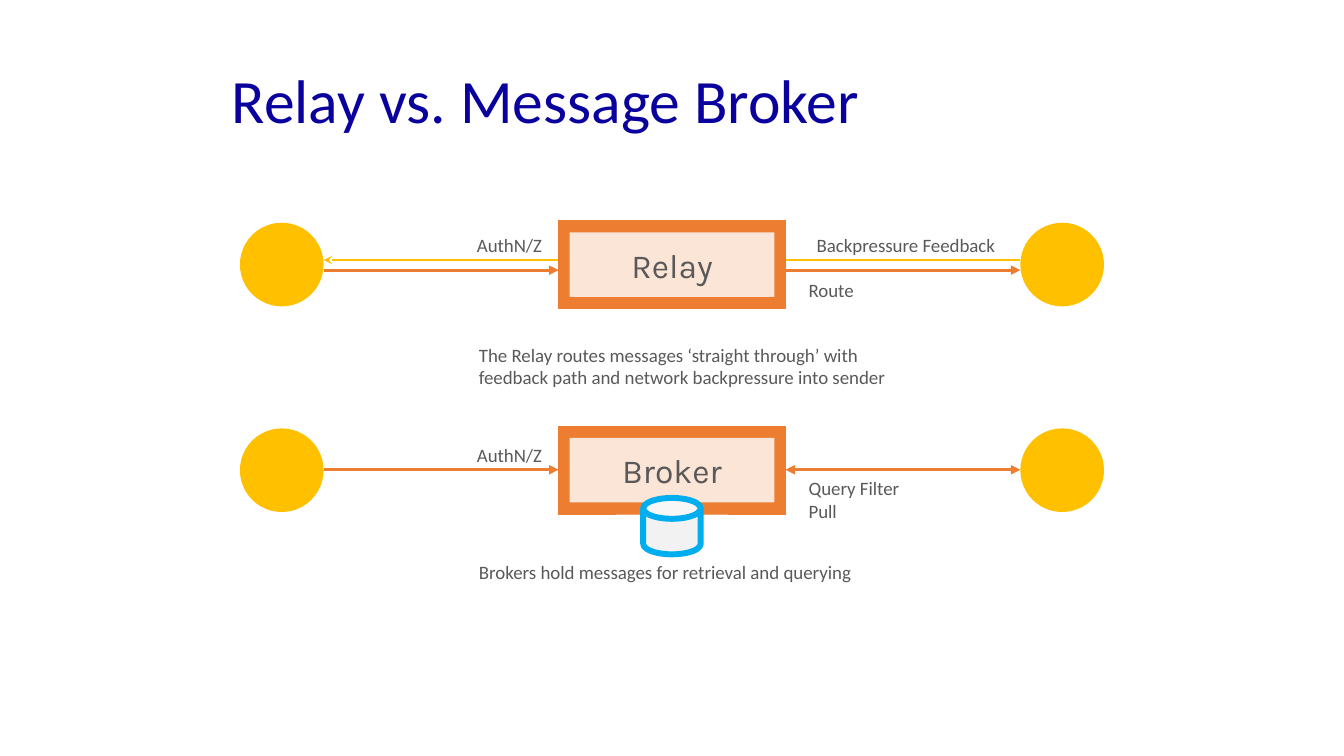
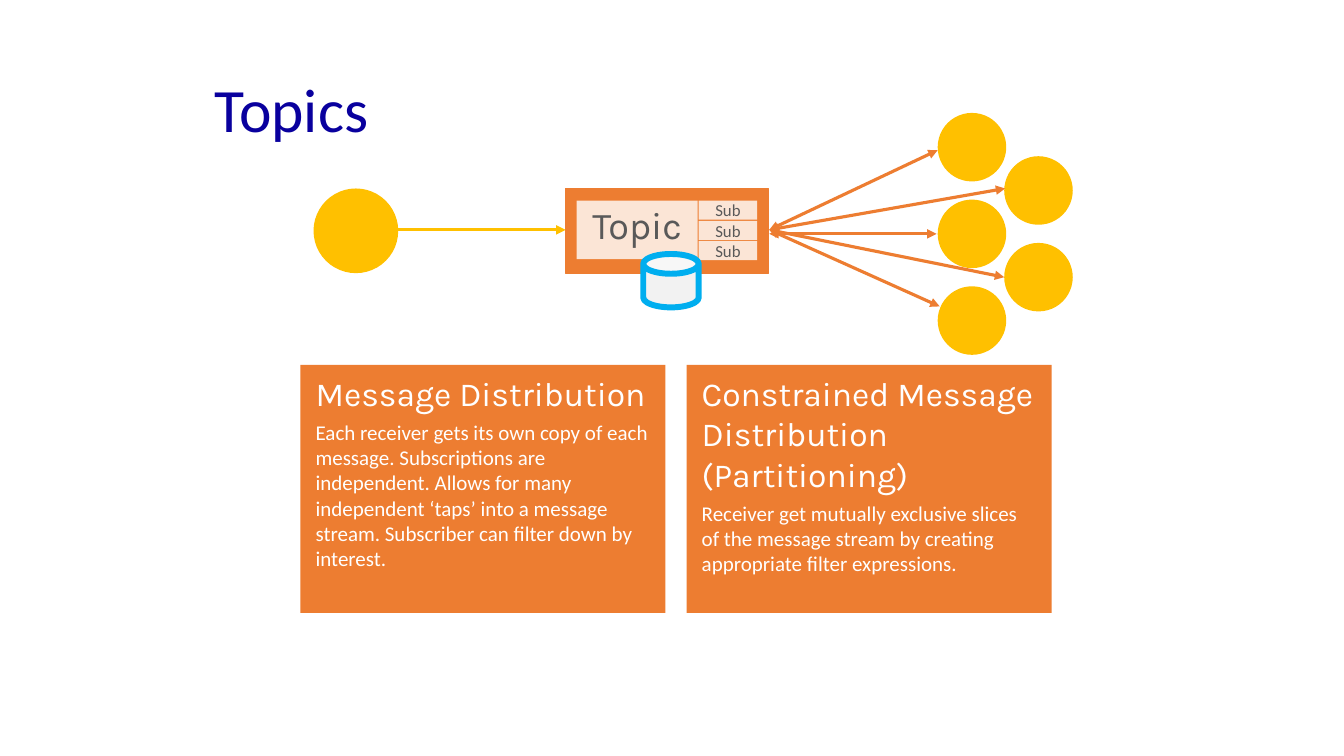
"""Builds two slides on relays, brokers and topics."""
from lxml import etree
from pptx import Presentation
from pptx import util as u
from pptx.dml.color import RGBColor
from pptx.enum import shapes, text
from pptx.oxml.ns import qn

NAVY, GREY, WHITE = "09009E", "595959", "FFFFFF"
ORANGE, PEACH, GOLD = "ED7D31", "FBE5D6", "FFC000"
BLUE, PALE = "00AEEF", "F2F2F2"
BODY, DISPLAY = "Calibri", "Karla"
SHAPE, ANCHOR, ALIGN = shapes.MSO_SHAPE, text.MSO_ANCHOR, text.PP_ALIGN


def color(hex_code):
    """Return the colour for a hex string."""
    return RGBColor.from_string(hex_code)


def write(sp, paras, align=ALIGN.LEFT, anchor=ANCHOR.TOP, ins=(0, 0, 0, 0), after=0, spacing=1):
    """Fill a shape with paragraphs given as (text, size, font, colour)."""
    tf = sp.text_frame
    tf.word_wrap = True
    tf.vertical_anchor = anchor
    tf.margin_left, tf.margin_top, tf.margin_right, tf.margin_bottom = map(u.Inches, ins)
    for i, (words, size, font, hex_code) in enumerate(paras):
        p = tf.add_paragraph() if i else tf.paragraphs[0]
        p.alignment = align
        p.line_spacing = spacing
        p.space_after = u.Pt(after if i < len(paras) - 1 else 0)
        for j, line in enumerate(words.split("\n")):
            if j:
                p.add_line_break()
            r = p.add_run()
            r.text = line
            r.font.size = u.Pt(size)
            r.font.name = font
            r.font.color.rgb = color(hex_code)


def label(s, x, y, w, h, *lines, **style):
    """Add a small grey text box, one paragraph for each line."""
    sp = s.shapes.add_textbox(*map(u.Inches, (x, y, w, h)))
    write(sp, [(line, 13.5, BODY, GREY) for line in lines], **style)


def caption(s, x, y, w, h, words):
    """Add a sentence centred vertically in its box."""
    label(s, x, y, w, h, words, anchor=ANCHOR.MIDDLE, ins=(0.07, 0.04, 0.07, 0.04))


def title(s, x, y, words):
    """Add the slide title."""
    sp = s.shapes.add_textbox(*map(u.Inches, (x, y, 9.15, 0.82)))
    write(sp, [(words, 44, BODY, NAVY)], anchor=ANCHOR.MIDDLE,
          ins=(0.1, 0.05, 0.1, 0.05), spacing=0.9)


def block(s, kind, x, y, w, h, fill, line=None, width=0.5):
    """Add a flat preset shape."""
    sp = s.shapes.add_shape(kind, *map(u.Inches, (x, y, w, h)))
    sp.shadow.inherit = False
    sp.fill.solid()
    sp.fill.fore_color.rgb = color(fill)
    if line:
        sp.line.color.rgb = color(line)
        sp.line.width = u.Pt(width)
    else:
        sp.line.fill.background()
    return sp


def node(s, x, y, d):
    """Add a sender or receiver circle."""
    block(s, SHAPE.OVAL, x, y, d, d, GOLD)


def panel(s, x, y, w, h, words, size, font=DISPLAY, ins=(0, 0, 0, 0)):
    """Add a pale panel with a centred name."""
    sp = block(s, SHAPE.RECTANGLE, x, y, w, h, PEACH)
    write(sp, [(words, size, font, GREY)], ALIGN.CENTER, ANCHOR.MIDDLE, ins)


def arrow(s, start, end, hex_code=ORANGE, width=2.25, head=None, tail="triangle"):
    """Draw a straight line with arrowheads at its start and end."""
    c = s.shapes.add_connector(shapes.MSO_CONNECTOR.STRAIGHT, *map(u.Inches, start + end))
    c.line.color.rgb = color(hex_code)
    c.line.width = u.Pt(width)
    ln = c.line._get_or_add_ln()
    for tag, kind in (("a:headEnd", head), ("a:tailEnd", tail)):
        if kind:
            etree.SubElement(ln, qn(tag), type=kind)
    etree.SubElement(c._element.spPr, qn("a:effectLst"))


def store(s, x, y, w, h):
    """Add a storage cylinder."""
    sp = block(s, SHAPE.CAN, x, y, w, h, PALE, BLUE, 4.25)
    sp.adjustments[0] = 0.37


def route(s, x, y, name, line_dy, auth_dy, head=None):
    """Draw sender, named hub and receiver in a row."""
    hub, hub_end, receiver, d = x + 3.16, x + 5.41, x + 7.74, 0.83
    node(s, x, y + 0.02, d)
    node(s, receiver, y + 0.02, d)
    arrow(s, (x + d, y + line_dy), (hub, y + line_dy))
    arrow(s, (hub_end, y + line_dy), (receiver, y + line_dy), head=head)
    label(s, x + 2.35, y + auth_dy, 0.75, 0.23, "AuthN/Z")
    block(s, SHAPE.RECTANGLE, hub, y, hub_end - hub, 0.87, ORANGE, ORANGE)
    panel(s, hub + 0.11, y + 0.115, 2.03, 0.64, name, 24, ins=(0, 0.04, 0, 0.04))


def topic(s, x, y):
    """Draw the topic hub with its subscriptions and store."""
    block(s, SHAPE.RECTANGLE, x, y, 2.01, 0.84, ORANGE, ORANGE)
    panel(s, x + 0.11, y + 0.12, 1.2, 0.58, "Topic", 27, ins=(0.08, 0.04, 0.08, 0.15))
    for i in range(3):
        panel(s, x + 1.32, y + 0.12 + 0.2 * i, 0.58, 0.19, "Sub", 12, BODY)
    store(s, x + 0.77, y + 0.65, 0.55, 0.53)


def receivers(s, x, y, hub_x, hub_y):
    """Draw five staggered receivers and the arrows from the hub."""
    for i in range(5):
        node(s, x + 0.66 * (i % 2), y + 0.43 * i, 0.68)
    ends = ((0, 0.37), (0.67, 0.75), (-0.01, 1.2), (0.66, 1.63), (0.02, 1.92))
    for i, (dx, dy) in enumerate(ends):
        start_y = y + dy if i == 2 else hub_y
        arrow(s, (hub_x, start_y), (x + dx, y + dy), head="triangle")


def card(s, x, y, heading, body):
    """Add an orange card with a heading and a paragraph."""
    sp = block(s, SHAPE.RECTANGLE, x, y, 3.62, 2.46, ORANGE)
    write(sp, [(heading, 24, DISPLAY, WHITE), (body, 15, BODY, WHITE)],
          ins=(0.15, 0.08, 0.08, 0), after=4.5)


def relay_slide(s):
    """Compare a relay with a message broker."""
    title(s, 2.2, 0.62, "Relay vs. Message Broker")
    x, relay_y, broker_y = 2.38, 2.19, 4.23
    arrow(s, (x + 7.74, relay_y + 0.39), (x + 0.83, relay_y + 0.39), GOLD, 2, tail="stealth")
    route(s, x, relay_y, "Relay", 0.49, 0.13)
    label(s, x + 5.72, relay_y + 0.13, 1.92, 0.23, "Backpressure Feedback")
    label(s, x + 5.64, relay_y + 0.57, 0.75, 0.23, "Route")
    caption(s, x + 2.3, relay_y + 1.07, 5.97, 0.74,
            "The Relay routes messages ‘straight through’ with\n"
            "feedback path and network backpressure into sender")
    route(s, x, broker_y, "Broker", 0.43, 0.17, head="triangle")
    label(s, x + 5.64, broker_y + 0.5, 1.23, 0.45, "Query Filter", "Pull")
    caption(s, x + 2.3, broker_y + 0.95, 7.21, 0.99,
            "Brokers hold messages for retrieval and querying")
    store(s, x + 4, broker_y + 0.71, 0.57, 0.56)


def topic_slide(s):
    """Show how a topic spreads messages to receivers."""
    title(s, 2.03, 0.71, "Topics")
    receivers(s, 9.3, 1.12, 7.63, 2.28)
    node(s, 3.11, 1.87, 0.84)
    arrow(s, (3.94, 2.28), (5.61, 2.28), GOLD)
    topic(s, 5.61, 1.87)
    cards = (
        ("Message Distribution",
         "Each receiver gets its own copy of each message. Subscriptions are independent. "
         "Allows for many independent ‘taps’ into a message stream. "
         "Subscriber can filter down by interest."),
        ("Constrained Message Distribution (Partitioning)",
         "Receiver get mutually exclusive slices\nof the message stream by creating "
         "appropriate filter expressions."),
    )
    for i, (heading, body) in enumerate(cards):
        card(s, 2.98 + 3.83 * i, 3.62, heading, body)


def main():
    """Build and save the presentation."""
    prs = Presentation()
    prs.slide_width, prs.slide_height = u.Inches(13.33), u.Inches(7.5)
    for build in (relay_slide, topic_slide):
        build(prs.slides.add_slide(prs.slide_layouts[6]))
    prs.save("out.pptx")


if __name__ == "__main__":
    main()
